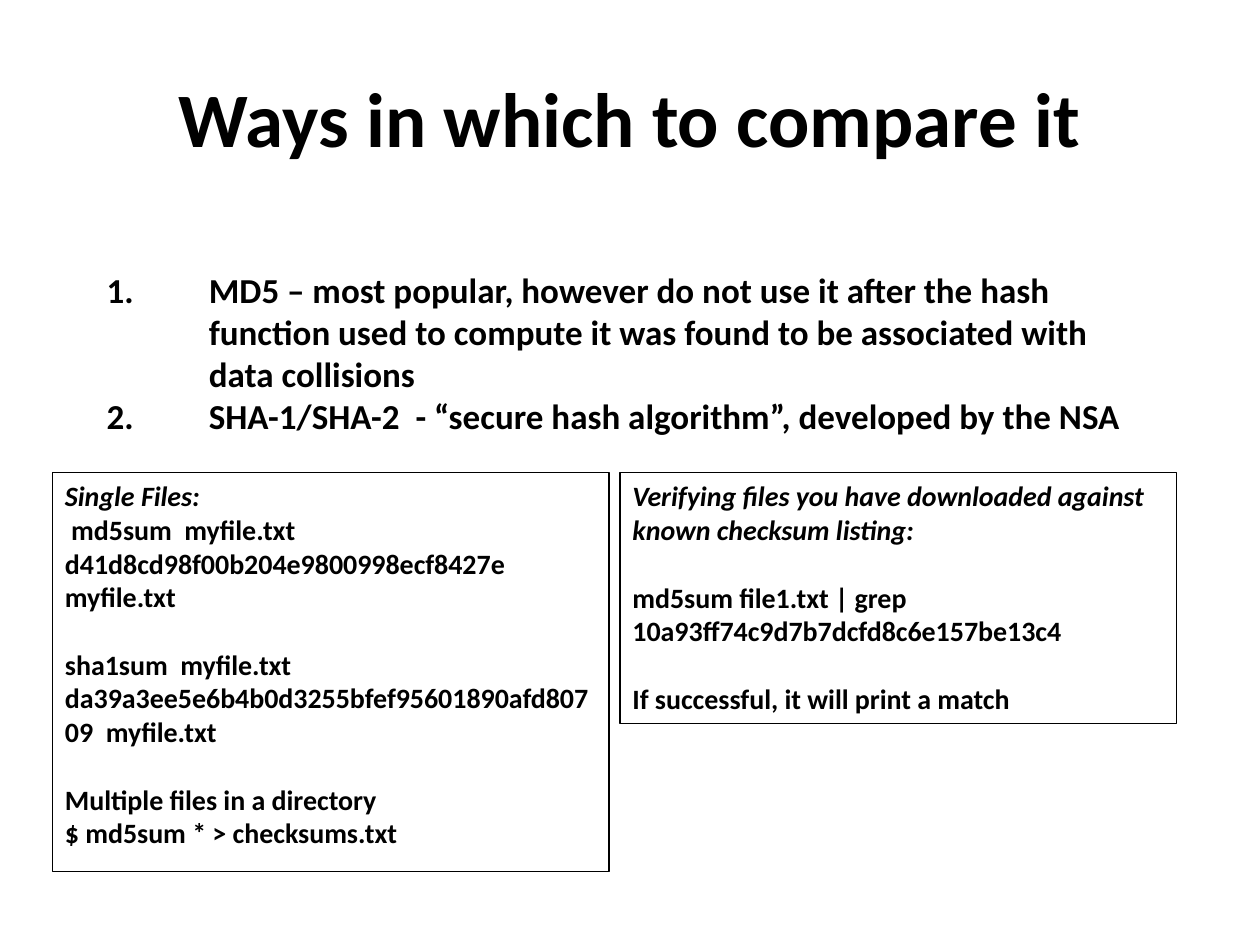
from lxml import etree
from pptx import Presentation, util as u
from pptx.dml.color import RGBColor
from pptx.enum import shapes, text
from pptx.oxml.ns import qn

FONT = "Calibri"
BLACK = "000000"
LINE_GAP = 19.5  # one line of 16 pt text


def rgb(value):
    return RGBColor.from_string(value)


def add_run(p, words, size, italic=False):
    r = p.add_run()
    r.text = words
    f = r.font
    f.name, f.size = FONT, u.Pt(size)
    f.bold, f.italic = True, italic
    f.color.rgb = rgb(BLACK)


def paragraphs(tf, count):
    return [tf.paragraphs[0]] + [tf.add_paragraph() for _ in range(count - 1)]


def add_text(s, left, top, width, height):
    tf = s.shapes.add_textbox(u.Cm(left), u.Cm(top), u.Cm(width), u.Cm(height)).text_frame
    tf.word_wrap = True
    return tf


def add_title(s, words):
    tf = add_text(s, 1.27, 0.76, 22.86, 3.18)
    tf.vertical_anchor = text.MSO_ANCHOR.MIDDLE
    p = tf.paragraphs[0]
    p.alignment = text.PP_ALIGN.CENTER
    add_run(p, words, 44)


def add_numbered_list(s, items):
    tf = add_text(s, 1.9, 5.28, 21.6, 3.68)
    indent = u.Cm(2.06)
    for p, words in zip(paragraphs(tf, len(items)), items):
        pPr = p._p.get_or_add_pPr()
        pPr.set("marL", str(indent))
        pPr.set("indent", str(-indent))
        etree.SubElement(pPr, qn("a:buFont"), typeface="+mj-lt")
        etree.SubElement(pPr, qn("a:buAutoNum"), type="arabicPeriod")
        add_run(p, words, 20)


def add_example_box(s, left, height, heading, groups):
    """Draw a framed box; each group after the first starts one line lower."""
    sp = s.shapes.add_shape(shapes.MSO_SHAPE.RECTANGLE,
                            u.Cm(left), u.Cm(9.53), u.Cm(11.22), u.Cm(height))
    sp.shadow.inherit = False
    sp.fill.background()
    sp.line.color.rgb = rgb(BLACK)
    sp.line.width = u.Pt(0.75)
    tf = sp.text_frame
    tf.word_wrap = True
    tf.vertical_anchor = text.MSO_ANCHOR.TOP

    lines = [(heading, True, False)]
    for i, group in enumerate(groups):
        lines += [(words, False, i > 0 and j == 0) for j, words in enumerate(group)]
    for p, (words, italic, gap) in zip(paragraphs(tf, len(lines)), lines):
        p.alignment = text.PP_ALIGN.LEFT
        if gap:
            p.space_before = u.Pt(LINE_GAP)
        add_run(p, words, 16, italic)


def main():
    prs = Presentation()
    prs.slide_width, prs.slide_height = u.Cm(25.4), u.Cm(19.05)
    s = prs.slides.add_slide(prs.slide_layouts[6])

    # Title and hash methods
    add_title(s, "Ways in which to compare it")
    add_numbered_list(s, [
        "MD5 – most popular, however do not use it after the hash function used "
        "to compute it was found to be associated with data collisions",
        "SHA-1/SHA-2  - “secure hash algorithm”, developed by the NSA ",
    ])

    # Command examples
    add_example_box(s, 1.06, 8.04, "Single Files: ", [
        [" md5sum  myfile.txt", "d41d8cd98f00b204e9800998ecf8427e\u00a0 myfile.txt"],
        ["sha1sum  myfile.txt", "da39a3ee5e6b4b0d3255bfef95601890afd80709\u00a0 myfile.txt"],
        ["Multiple files in a directory", "$ md5sum * > checksums.txt"],
    ])
    add_example_box(
        s, 12.5, 5.06,
        "Verifying files you have downloaded against known checksum listing: ", [
            [],
            ["md5sum file1.txt | grep 10a93ff74c9d7b7dcfd8c6e157be13c4"],
            ["If successful, it will print a match"],
        ])

    prs.save("out.pptx")


main()
